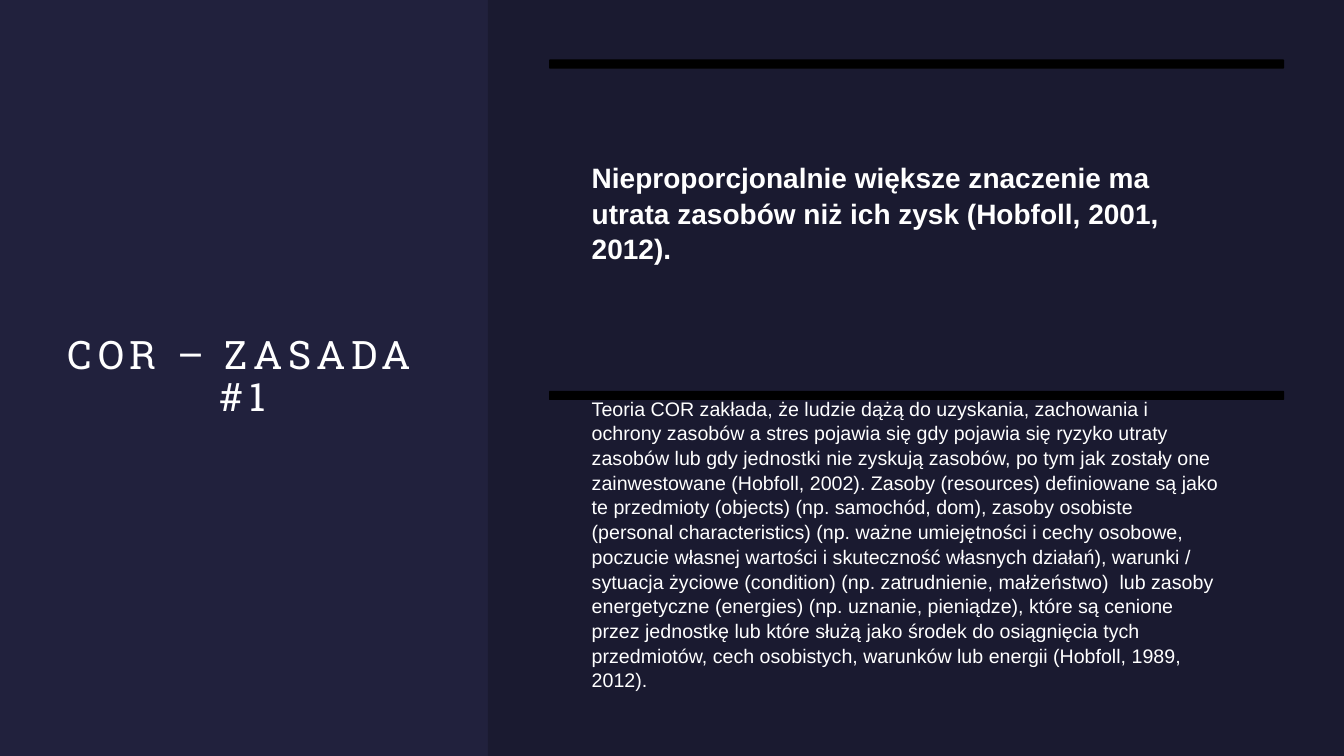
import pptx
import pptx.util
import pptx.dml.color
import pptx.enum.shapes
import pptx.enum.text
import pptx.oxml.ns
import lxml.etree

Pt = pptx.util.Pt
Shapes = pptx.enum.shapes.MSO_SHAPE
Align = pptx.enum.text.PP_ALIGN

COLORS = {"background": "21213D", "black": "000000", "white": "FFFFFF"}

TITLE = "COR – ZASADA #1"
PRINCIPLE = ("Nieproporcjonalnie większe znaczenie ma utrata zasobów niż ich zysk "
             "(Hobfoll, 2001, 2012).")
THEORY = (
    "Teoria COR zakłada, że ludzie dążą do uzyskania, zachowania i ochrony zasobów "
    "a stres pojawia się gdy pojawia się ryzyko utraty zasobów lub gdy jednostki nie "
    "zyskują zasobów, po tym jak zostały one zainwestowane (Hobfoll, 2002). Zasoby "
    "(resources) definiowane są jako te przedmioty (objects) (np. samochód, dom), "
    "zasoby osobiste (personal characteristics) (np. ważne umiejętności i cechy "
    "osobowe, poczucie własnej wartości i skuteczność własnych działań), warunki / "
    "sytuacja życiowe (condition) (np. zatrudnienie, małżeństwo)  lub zasoby "
    "energetyczne (energies) (np. uznanie, pieniądze), które są cenione przez "
    "jednostkę lub które służą jako środek do osiągnięcia tych przedmiotów, cech "
    "osobistych, warunków lub energii (Hobfoll, 1989, 2012).")


class SlideBuilder:
    def __init__(self, slide, colors):
        self.slide = slide
        self.colors = colors

    def color(self, name):
        return pptx.dml.color.RGBColor.from_string(self.colors[name])

    def background(self, name):
        fill = self.slide.background.fill
        fill.solid()
        fill.fore_color.rgb = self.color(name)

    def block(self, kind, left, top, width, height, name, opacity=100):
        shape = self.slide.shapes.add_shape(kind, Pt(left), Pt(top), Pt(width), Pt(height))
        shape.shadow.inherit = False
        shape.fill.solid()
        shape.fill.fore_color.rgb = self.color(name)
        shape.line.fill.background()
        if opacity < 100:
            tag = pptx.oxml.ns.qn("a:srgbClr")
            color_element = next(shape.element.spPr.iter(tag))
            alpha = lxml.etree.SubElement(color_element, pptx.oxml.ns.qn("a:alpha"))
            alpha.set("val", str(opacity * 1000))
        return shape

    def text(self, text, left, top, width, height, font, size, inset=0, bold=False,
             align=Align.LEFT, line_spacing=1.0, tracking=0):
        box = self.slide.shapes.add_textbox(Pt(left), Pt(top), Pt(width), Pt(height))
        frame = box.text_frame
        frame.word_wrap = True
        frame.vertical_anchor = pptx.enum.text.MSO_ANCHOR.MIDDLE
        frame.margin_left = frame.margin_right = Pt(inset)
        frame.margin_top = frame.margin_bottom = Pt(inset)
        frame.text = text
        paragraph = frame.paragraphs[0]
        paragraph.alignment = align
        paragraph.line_spacing = line_spacing
        run = paragraph.runs[0]
        run.font.name = font
        run.font.size = Pt(size)
        run.font.bold = bold
        run.font.color.rgb = self.color("white")
        if tracking:
            properties = next(box.element.iter(pptx.oxml.ns.qn("a:rPr")))
            properties.set("spc", str(tracking * 100))


def main():
    presentation = pptx.Presentation()
    presentation.slide_width = Pt(960)
    presentation.slide_height = Pt(540)
    slide = presentation.slides.add_slide(presentation.slide_layouts[6])
    builder = SlideBuilder(slide, COLORS)

    # Background and darker right panel
    builder.background("background")
    builder.block(Shapes.RECTANGLE, 348.5, 0, 611.5, 540, "black", opacity=20)

    # Title
    builder.text(TITLE, 42.5, 85, 261.5, 369.5, "Roboto Slab", 28,
                 align=Align.CENTER, line_spacing=0.9, tracking=4)

    # Two sections, each under a bar
    sections = [(PRINCIPLE, 20, True), (THEORY, 14, False)]
    for index, (text, size, bold) in enumerate(sections):
        top = 42.5 + index * 236.7
        bar = builder.block(Shapes.ROUNDED_RECTANGLE, 392.2, top, 525, 6.5, "black")
        bar.adjustments[0] = 0.1
        builder.text(text, 399.7, top, 494.7, 218.2, "Arial", size, inset=23,
                     bold=bold, line_spacing=1.05)

    presentation.save("out.pptx")


if __name__ == "__main__":
    main()
